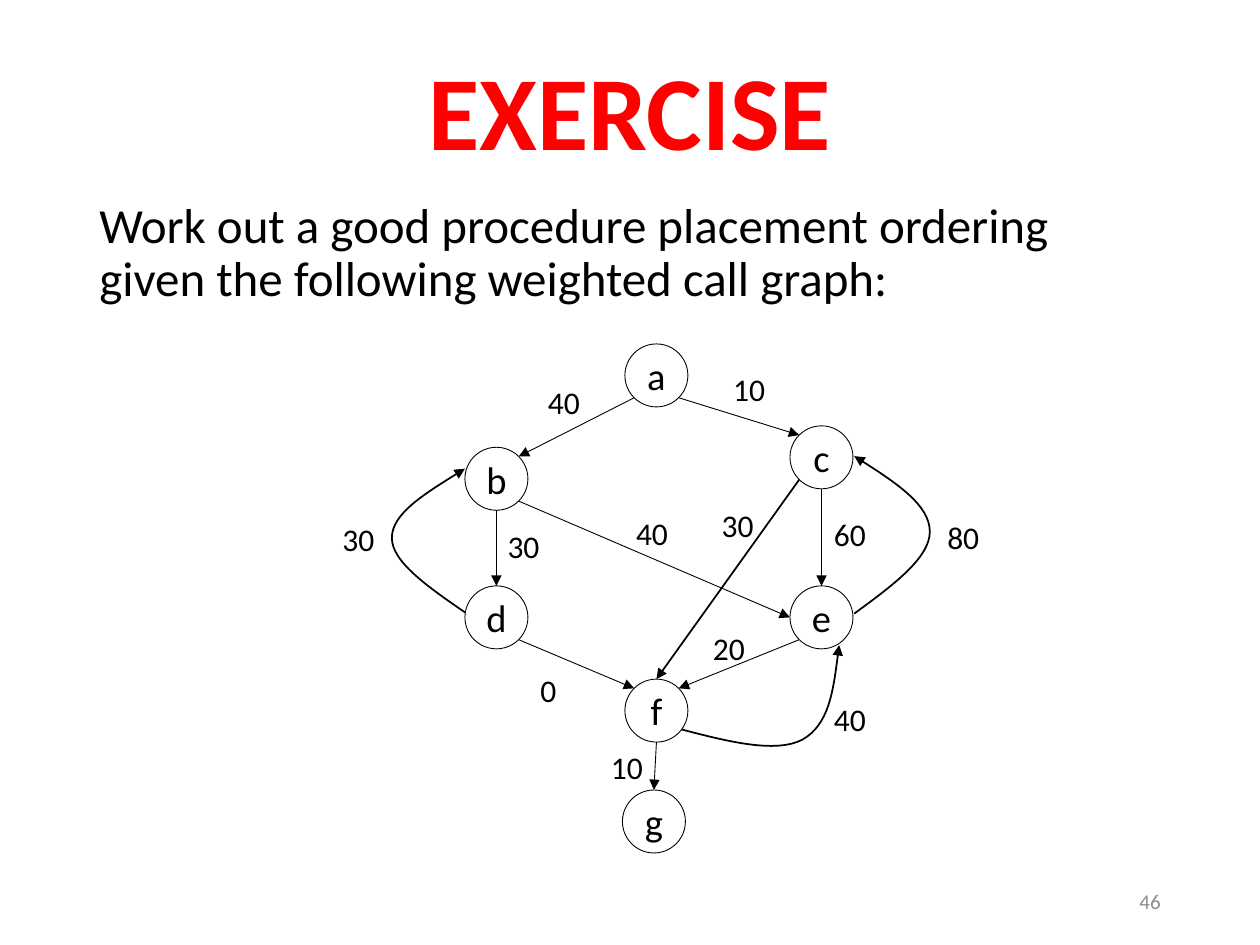
"""Build a slide with an exercise on procedure placement in a weighted call graph."""
from math import sqrt

from lxml.etree import SubElement
from pptx import Presentation
from pptx.dml.color import RGBColor
from pptx.enum.shapes import MSO_CONNECTOR, MSO_SHAPE
from pptx.enum.text import MSO_ANCHOR, MSO_AUTO_SIZE, PP_ALIGN
from pptx.oxml.ns import qn
from pptx.util import Inches, Pt

COLORS = {"ink": "000000", "title": "FF0000", "number": "8C8C8C"}
RADIUS = 0.25
DIAGONAL = RADIUS / sqrt(2)
SIDES = {
    "top": (0, -RADIUS), "bottom": (0, RADIUS), "left": (-RADIUS, 0),
    "top left": (-DIAGONAL, -DIAGONAL), "top right": (DIAGONAL, -DIAGONAL),
    "bottom left": (-DIAGONAL, DIAGONAL), "bottom right": (DIAGONAL, DIAGONAL),
}
CENTERS = {
    "a": (5.21, 2.98), "b": (3.94, 3.8), "c": (6.52, 3.63), "d": (3.94, 4.9),
    "e": (6.52, 4.9), "f": (5.21, 5.64), "g": (5.19, 6.52),
}
CALLS = [
    ("a", "bottom left", "b", "top right", 0.5),
    ("a", "bottom right", "c", "top left", 0.5),
    ("b", "bottom right", "e", "left", 0.5),
    ("c", "bottom", "e", "top", 0.5),
    ("b", "bottom", "d", "top", 0.5),
    ("e", "bottom left", "f", "top right", 0.5),
    ("d", "bottom right", "f", "top left", 0.5),
    ("c", "bottom left", "f", "top", 1),
    ("f", "bottom", "g", "top", 0.5),
]
RETURN_CALLS = [
    [(6.78, 4.87), (7.08, 4.65), (7.38, 4.43), (7.38, 4.22),
     (7.38, 4.01), (7.08, 3.81), (6.78, 3.62)],
    [(5.41, 5.79), (5.79, 5.89), (6.16, 5.98), (6.37, 5.87),
     (6.58, 5.75), (6.62, 5.44), (6.66, 5.12)],
    [(3.69, 4.86), (3.4, 4.66), (3.11, 4.46), (3.11, 4.27),
     (3.11, 4.08), (3.4, 3.9), (3.69, 3.72)],
]
WEIGHTS = [
    ("40", 4.25, 2.99), ("10", 5.72, 2.89), ("40", 4.95, 4.03), ("30", 2.62, 4.08),
    ("0", 4.19, 5.28), ("60", 6.52, 4.04), ("80", 7.42, 4.06), ("20", 5.56, 4.94),
    ("40", 6.52, 5.51), ("30", 3.93, 4.13), ("30", 5.63, 3.97), ("10", 4.75, 5.89),
]


def color(name):
    return RGBColor.from_string(COLORS[name])


def apply(target, values):
    for name, value in values.items():
        setattr(target, name, value)


def write(box, text, size, ink="ink", bold=False, frame=None, paragraph=None):
    box.text_frame.word_wrap = True
    apply(box.text_frame, frame or {})
    para = box.text_frame.paragraphs[0]
    apply(para, paragraph or {})
    span = para.add_run()
    span.text = text
    apply(span.font, {"name": "Calibri", "size": Pt(size), "bold": bold})
    span.font.color.rgb = color(ink)


def add_text(page, place, text, size, **formats):
    box = page.shapes.add_textbox(*map(Inches, place))
    write(box, text, size, **formats)


def style_line(shape, width):
    shape.line.color.rgb = color("ink")
    shape.line.width = Pt(width)


def add_arrowhead(shape):
    SubElement(shape.line._get_or_add_ln(), qn("a:tailEnd"), type="triangle")


def add_node(page, name):
    x, y = CENTERS[name]
    place = (x - RADIUS, y - RADIUS, 2 * RADIUS, 2 * RADIUS)
    node = page.shapes.add_shape(MSO_SHAPE.OVAL, *map(Inches, place))
    node.shadow.inherit = False
    node.fill.background()
    style_line(node, 0.5)
    margins = dict.fromkeys(
        ("margin_left", "margin_right", "margin_top", "margin_bottom"), 0)
    write(node, name, 22, frame={"vertical_anchor": MSO_ANCHOR.MIDDLE, **margins},
          paragraph={"alignment": PP_ALIGN.CENTER})
    return node


def side_point(name, side):
    return [Inches(center + offset) for center, offset in zip(CENTERS[name], SIDES[side])]


def add_call(page, nodes, caller, start, callee, end, width):
    arrow = page.shapes.add_connector(
        MSO_CONNECTOR.STRAIGHT, *side_point(caller, start), *side_point(callee, end))
    if end == "top":
        arrow.end_connect(nodes[callee], 0)
    style_line(arrow, width)
    add_arrowhead(arrow)
    SubElement(arrow._element.spPr, qn("a:effectLst"))


def add_return_call(page, points):
    """Draw a freeform whose points after the first are cubic curve triples."""
    start, *controls = [tuple(map(Inches, point)) for point in points]
    builder = page.shapes.build_freeform(*start)
    builder.add_line_segments(controls, close=False)
    arc = builder.convert_to_shape()
    outline = next(arc._element.iter(qn("a:path")))
    segments = outline.findall(qn("a:lnTo"))
    for first in range(0, len(segments), 3):
        curve = SubElement(outline, qn("a:cubicBezTo"))
        for segment in segments[first:first + 3]:
            curve.append(segment[0])
            outline.remove(segment)
    arc.shadow.inherit = False
    arc.fill.background()
    style_line(arc, 1)
    add_arrowhead(arc)


def add_weight(page, text, left, top):
    place = (left, top, 0.2 + 0.13 * len(text), 0.4)
    add_text(page, place, text, 18, frame={
        "word_wrap": False, "auto_size": MSO_AUTO_SIZE.SHAPE_TO_FIT_TEXT})


def main():
    deck = Presentation()
    apply(deck, {"slide_width": Inches(10), "slide_height": Inches(7.5)})
    page = deck.slides.add_slide(deck.slide_layouts[6])
    middle = {"vertical_anchor": MSO_ANCHOR.MIDDLE}
    add_text(page, (0.69, 0.4, 8.62, 1.05), "EXERCISE", 60, ink="title", bold=True,
             frame=middle,
             paragraph={"alignment": PP_ALIGN.CENTER, "line_spacing": 0.9})
    add_text(page, (0.69, 1.55, 8.62, 1),
             "Work out a good procedure placement ordering "
             "given the following weighted call graph:", 28,
             paragraph={"line_spacing": 0.9, "space_before": Pt(10),
                        "space_after": Pt(12)})
    add_text(page, (7.06, 6.95, 2.25, 0.4), "46", 12, ink="number", frame=middle,
             paragraph={"alignment": PP_ALIGN.RIGHT})
    nodes = {name: add_node(page, name) for name in CENTERS}
    for call in CALLS:
        add_call(page, nodes, *call)
    for points in RETURN_CALLS:
        add_return_call(page, points)
    for weight in WEIGHTS:
        add_weight(page, *weight)
    deck.save("out.pptx")


if __name__ == "__main__":
    main()
